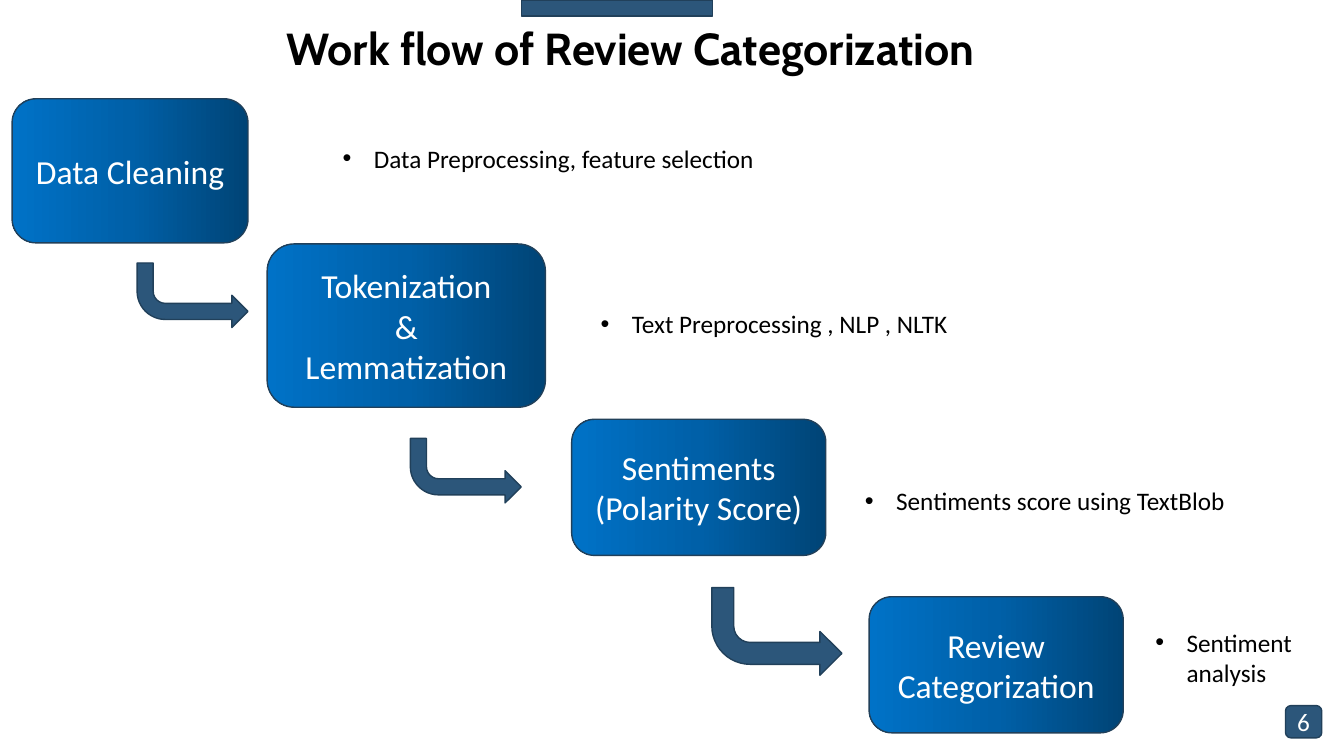
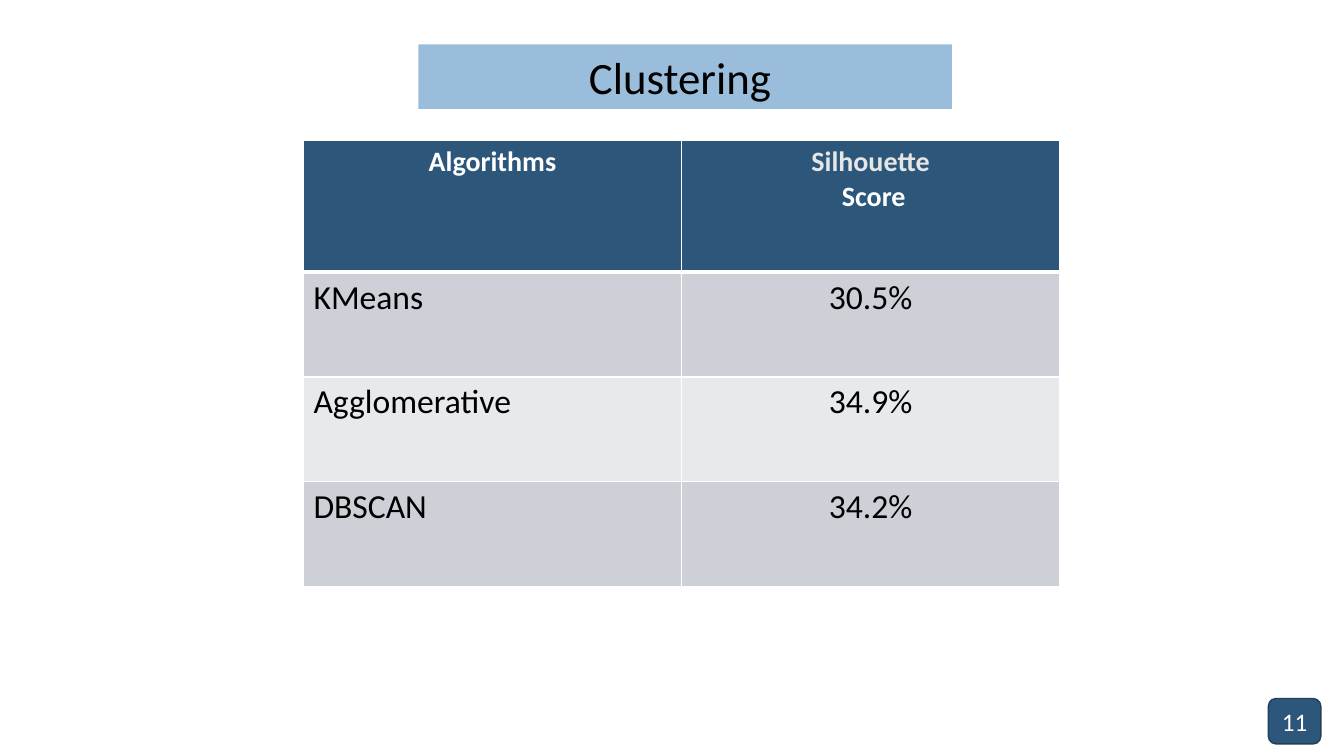
from copy import deepcopy

from pptx import Presentation
from pptx.dml.color import RGBColor
from pptx.enum.shapes import MSO_SHAPE
from pptx.enum.text import MSO_ANCHOR, PP_ALIGN
from pptx.oxml.ns import qn
from pptx.util import Inches, Pt
from lxml.etree import SubElement

NAVY, EDGE, SKY = "2C567A", "21405A", "9ABDDB"
WHITE, BLACK, SILVER = "FFFFFF", "000000", "E7E6E6"
GRADIENT = ((0, "004476"), (0.5, "0060A8"), (1, "0072C7"))
BANDS = ("CDD1D7", "E8E9EC")
BODY, HEADING = "Calibri", "Cabin"


def rgb(value):
    """Return the colour for a hex string."""
    return RGBColor.from_string(value)


def inches(box):
    """Convert a box given in inches."""
    return [Inches(v) for v in box]


def write(tf, lines, size, color=BLACK, align=PP_ALIGN.CENTER, font=BODY, bold=False):
    """Write one paragraph for each line and return the paragraphs."""
    tf.word_wrap = True
    for i, line in enumerate(lines):
        p = tf.add_paragraph() if i else tf.paragraphs[0]
        p.alignment = align
        r = p.add_run()
        r.text = line
        r.font.size, r.font.name, r.font.bold = Pt(size), font, bold
        r.font.color.rgb = rgb(color)
    return tf.paragraphs


def add_block(s, kind, box, fill=NAVY, line=EDGE):
    """Add a flat preset shape."""
    sp = s.shapes.add_shape(kind, *inches(box))
    sp.shadow.inherit = False
    sp.fill.solid()
    sp.fill.fore_color.rgb = rgb(fill)
    if line:
        sp.line.color.rgb = rgb(line)
        sp.line.width = Pt(1)
    else:
        sp.line.fill.background()
    return sp


def add_page_number(s, box, number):
    """Add the page number badge."""
    sp = add_block(s, MSO_SHAPE.ROUNDED_RECTANGLE, box)
    write(sp.text_frame, [number], 18, WHITE)


def add_heading(s, box, text):
    """Add the bold slide heading."""
    tf = s.shapes.add_textbox(*inches(box)).text_frame
    tf.margin_left = tf.margin_right = tf.margin_top = tf.margin_bottom = 0
    tf.vertical_anchor = MSO_ANCHOR.MIDDLE
    write(tf, [text], 32, align=PP_ALIGN.LEFT, font=HEADING, bold=True)


def shade(sp):
    """Fill a shape with the three-stop blue gradient."""
    sp.fill.gradient()
    sp.fill.gradient_angle = 180
    stops = sp.element.spPr.find(qn("a:gradFill")).find(qn("a:gsLst"))
    stops.append(deepcopy(stops[-1]))
    for stop, (position, color) in zip(sp.fill.gradient_stops, GRADIENT):
        stop.position = position
        stop.color.rgb = rgb(color)


def add_note(s, box, text):
    """Add a bulleted note."""
    tf = s.shapes.add_textbox(*inches(box)).text_frame
    for p in write(tf, [text], 18, align=PP_ALIGN.LEFT):
        pPr = p._p.get_or_add_pPr()
        pPr.set("marL", str(Inches(0.31)))
        pPr.set("indent", str(Inches(-0.31)))
        SubElement(pPr, qn("a:buFont")).set("typeface", "Arial")
        SubElement(pPr, qn("a:buChar")).set("char", "•")


def add_step(s, box, lines, note, note_box, arrow_box):
    """Add a step, with its note right of the box and its arrow below it."""
    x, y, w, h = box
    sp = add_block(s, MSO_SHAPE.ROUNDED_RECTANGLE, box)
    shade(sp)
    write(sp.text_frame, lines, 24, WHITE)
    dx, dy, note_w, note_h = note_box
    add_note(s, (x + w + dx, y + dy, note_w, note_h), note)
    if arrow_box:
        dx, dy, arrow_w, arrow_h = arrow_box
        arrow = add_block(s, MSO_SHAPE.BENT_ARROW, (x + dx, y + h + dy, arrow_w, arrow_h))
        arrow.element.spPr.xfrm.set("flipV", "1")


def set_borders(cell, top, bottom):
    """Draw white borders round a table cell."""
    tcPr = cell._tc.get_or_add_tcPr()
    for side, width in (("L", 1), ("R", 1), ("T", top), ("B", bottom)):
        ln = SubElement(tcPr, qn(f"a:ln{side}"), w=str(Pt(width)))
        fill = SubElement(ln, qn("a:solidFill"))
        SubElement(fill, qn("a:srgbClr"), val=WHITE)


def add_scores(s, box, header, rows, heights):
    """Add the score table."""
    table = s.shapes.add_table(len(rows) + 1, len(header), *inches(box)).table
    table.horz_banding = False
    for row, height in zip(table.rows, heights):
        row.height = Inches(height)
    for i, values in enumerate([header] + rows):
        for j, value in enumerate(values):
            cell = table.cell(i, j)
            set_borders(cell, 3 if i == 1 else 1, 3 if i == 0 else 1)
            cell.fill.solid()
            cell.fill.fore_color.rgb = rgb(BANDS[(i - 1) % 2] if i else NAVY)
            if i:
                align = PP_ALIGN.CENTER if j else PP_ALIGN.LEFT
                write(cell.text_frame, [value], 24, align=align)
            else:
                write(cell.text_frame, value, 20, WHITE, bold=True)
    first_line = table.cell(0, 1).text_frame.paragraphs[0]
    first_line.runs[0].font.color.rgb = rgb(SILVER)


def build_workflow(s):
    """Build the workflow slide."""
    add_heading(s, (2.84, 0.2, 7.34, 0.54), "Work flow of Review Categorization")
    add_block(s, MSO_SHAPE.RECTANGLE, (5.17, 0, 1.9, 0.16))
    steps = [
        ((0.12, 0.98, 2.34, 1.43), ["Data Cleaning"],
         "Data Preprocessing, feature selection",
         (0.84, 0.39, 4.64, 0.4), (1.24, 0.2, 1.1, 0.64)),
        ((2.65, 2.42, 2.76, 1.62), ["Tokenization", "&", "Lemmatization"],
         "Text Preprocessing , NLP , NLTK",
         (0.45, 0.59, 3.9, 0.4), (1.42, 0.31, 1.1, 0.64)),
        ((5.67, 4.16, 2.52, 1.35), ["Sentiments (Polarity Score)"],
         "Sentiments score using TextBlob",
         (0.29, 0.61, 3.95, 0.4), (1.39, 0.32, 1.29, 0.87)),
        ((8.62, 5.92, 2.52, 1.35), ["Review Categorization"],
         "Sentiment analysis",
         (0.22, 0.25, 1.72, 0.71), None),
    ]
    for step in steps:
        add_step(s, *step)
    add_page_number(s, (12.75, 7, 0.36, 0.32), "6")


def build_clustering(s):
    """Build the clustering slide."""
    banner = add_block(s, MSO_SHAPE.RECTANGLE, (4.15, 0.44, 5.29, 0.64), SKY, None)
    write(banner.text_frame, ["Clustering "], 32)
    add_scores(
        s, (3.01, 1.39, 7.5, 4.43),
        [["Algorithms"], ["Silhouette", " Score"]],
        [["KMeans", "30.5%"], ["Agglomerative", "34.9%"], ["DBSCAN", "34.2%"]],
        [1.31, 1.04, 1.04, 1.04],
    )
    add_page_number(s, (12.58, 6.93, 0.52, 0.45), "11")


def main():
    """Build and save the presentation."""
    prs = Presentation()
    prs.slide_width, prs.slide_height = Inches(13.33), Inches(7.5)
    for build in (build_workflow, build_clustering):
        build(prs.slides.add_slide(prs.slide_layouts[6]))
    prs.save("out.pptx")


if __name__ == "__main__":
    main()
